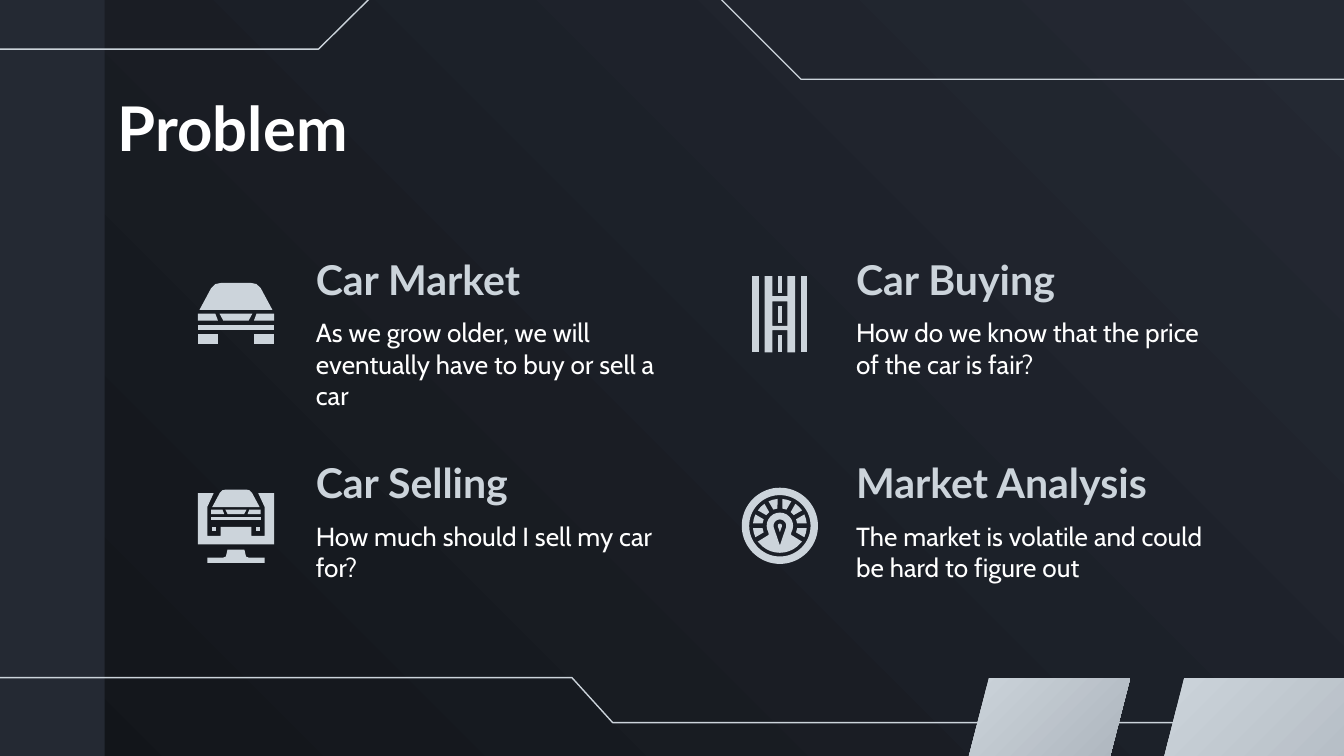
"""Builds the car market problem slide."""
import math
import pptx
import pptx.dml.color
import pptx.enum.shapes
import pptx.enum.text
import pptx.util

Cm = pptx.util.Cm
MID = 0.72


def tint(code):
    return pptx.dml.color.RGBColor.from_string(code)


def apply(item, values):
    for name, value in values.items():
        setattr(item, name, value)


def box(x, y, wide, high):
    return [(x, y), (x + wide, y), (x + wide, y + high), (x, y + high)]


def flip(ring):
    return [(2 * MID - x, y) for x, y in reversed(ring)]


def whole(half):
    return half + flip(half)


def twins(ring):
    return [[ring], [flip(ring)]]


def move(parts, x, y, scale=1):
    return [[[(x + scale * a, y + scale * b) for a, b in ring] for ring in part]
            for part in parts]


def polar(reach, angle):
    turn = math.radians(angle)
    return MID + reach * math.cos(turn), MID - reach * math.sin(turn)


def arc(reach, start, end, step):
    return [polar(reach, angle) for angle in range(start, end + 1, step)]


def tick(angle):
    return arc(0.51, angle - 10, angle + 10, 10) + [polar(0.33, angle + 7), polar(0.33, angle - 7)]


class Deck:
    """Holds the style and the current slide."""

    dark, navy, pale, steel, white = "12151A", "242933", "CCD4DB", "ABB3BB", "FFFFFF"
    head = {"name": "Lato", "bold": True}
    plain = {"name": "Cabin", "bold": False}

    def __init__(self, wide, high):
        self.file = pptx.Presentation()
        apply(self.file, {"slide_width": Cm(wide), "slide_height": Cm(high)})
        self.slide = self.file.slides.add_slide(self.file.slide_layouts[6])
        self.shapes = self.slide.shapes

    def blend(self, fill, first, last, angle):
        fill.gradient()
        fill.gradient_angle = angle
        for stop, code in zip(fill.gradient_stops, (first, last)):
            stop.color.rgb = tint(code)

    def paint(self, shape, code):
        shape.shadow.inherit = False
        shape.fill.solid()
        shape.fill.fore_color.rgb = tint(code)
        shape.line.fill.background()

    def panel(self, x, y, wide, high):
        kind = pptx.enum.shapes.MSO_SHAPE.RECTANGLE
        self.paint(self.shapes.add_shape(kind, Cm(x), Cm(y), Cm(wide), Cm(high)), self.navy)

    def outline(self, rings, close=True):
        pen = None
        for ring in rings:
            dots = [(Cm(x), Cm(y)) for x, y in ring]
            if pen:
                pen.move_to(*dots[0])
            else:
                pen = self.shapes.build_freeform(*dots[0])
            pen.add_line_segments(dots[1:], close=close)
        shape = pen.convert_to_shape()
        self.paint(shape, self.pale)
        return shape

    def trace(self, dots):
        shape = self.outline([dots], close=False)
        shape.fill.background()
        shape.line.color.rgb = tint(self.pale)
        shape.line.width = pptx.util.Pt(0.75)

    def slant(self, dots):
        self.blend(self.outline([dots]).fill, self.pale, self.steel, 315)

    def icon(self, x, y, parts):
        for part in move(parts, x, y):
            self.outline(part)

    def text(self, words, spot, style, size, code, anchor="TOP"):
        frame = self.shapes.add_textbox(*map(Cm, spot)).text_frame
        sides = {"margin_" + side: Cm(0.25) for side in ("left", "top", "right", "bottom")}
        place = getattr(pptx.enum.text.MSO_ANCHOR, anchor)
        apply(frame, {"word_wrap": True, "vertical_anchor": place, **sides})
        run = frame.paragraphs[0].add_run()
        run.text = words
        apply(run.font, {**style, "size": pptx.util.Pt(size)})
        run.font.color.rgb = tint(code)

    def topic(self, x, y, title, body):
        self.text(title, (x, y, 7.21, 1.14), self.head, 22, self.pale, "BOTTOM")
        self.text(body, (x, y + 0.89, 7.21, 1.6), self.plain, 14, self.white)


def main():
    body = [
        [whole([(0.43, 0.13), (0.33, 0.15), (0.25, 0.23), (0.03, 0.64)])],
        [whole([(0.41, 0.71), (0.48, 0.84)])],
        *twins([(0, 0.71), (0.33, 0.71), (0.38, 0.84), (0, 0.84)]),
        [box(0, 0.92, 1.44, 0.09)],
    ]
    car = body + twins(box(0, 1.09, 0.38, 0.2))
    tread = [(0.58, 0.38), (0.58, 0), (0.43, 0), (0.43, 1.44), (0.58, 1.44), (0.58, 1.02)]
    tire = [
        *twins(box(0.2, 0, 0.13, 1.44)),
        *[[box(0.68, 0.56 * row, 0.08, 0.32)] for row in range(3)],
        [whole(tread), box(0.58, 0.48, 0.28, 0.46)],
    ]
    frame = [(0.43, 0.74), (0.43, 0.91), (0.18, 0.91), (0.18, 0.36), (0.3, 0.1), (0, 0.1), (0, 1.07)]
    stand = [(0.56, 1.17), (0.53, 1.3), (0.48, 1.32), (0.18, 1.32), (0.18, 1.42)]
    screen = [
        [whole(frame)],
        *move(body, 0.25, -0.05, 0.65),
        *twins(box(0.26, 0.74, 0.08, 0.08)),
        [whole(stand)],
    ]
    hub = arc(0.25, 90, 210, 15) + [(0.51, 0.89), (0.3, 1.02)] + arc(0.51, 220, 270, 10)
    hole = arc(0.12, 90, 195, 15) + [(MID, 1.09)]
    gauge = [
        [arc(0.72, 0, 355, 5), arc(0.58, 0, 355, 5)],
        *[[tick(angle)] for angle in range(-15, 196, 30)],
        [whole(hub), whole(hole)],
        [whole(arc(0.04, 90, 195, 15) + [(MID, 0.84)])],
    ]
    topics = [
        ("Car Market", "As we grow older, we will eventually have to buy or sell a car", car),
        ("Car Buying", "How do we know that the price of the car is fair?", tire),
        ("Car Selling", "How much should I sell my car for?", screen),
        ("Market Analysis", "The market is volatile and could be hard to figure out", gauge),
    ]

    deck = Deck(25.4, 14.29)
    deck.blend(deck.slide.background.fill, deck.dark, deck.navy, 45)
    deck.panel(0, 0, 1.98, 14.29)
    deck.trace([(-0.1, 0.93), (6.02, 0.93), (7.11, -0.15), (13.49, -0.15), (15.14, 1.5), (25.73, 1.5)])
    deck.trace([(-0.64, 12.81), (10.81, 12.81), (11.58, 13.66), (26.47, 13.66)])
    deck.slant([(18.69, 12.82), (18.21, 14.69), (20.88, 14.69), (21.36, 12.82)])
    deck.slant([(22.38, 12.82), (21.91, 14.67), (27.53, 14.67), (27.53, 12.82)])
    deck.text("Problem", (1.98, 1.45, 21.44, 1.6), deck.head, 33, deck.white)
    for index, (title, words, parts) in enumerate(topics):
        row, col = divmod(index, 2)
        deck.topic(5.72 + 10.21 * col, 4.85 + 3.84 * row, title, words)
        deck.icon(3.74 + 10.28 * col, 5.22 + 4 * row, parts)
    deck.file.save("out.pptx")


if __name__ == "__main__":
    main()
